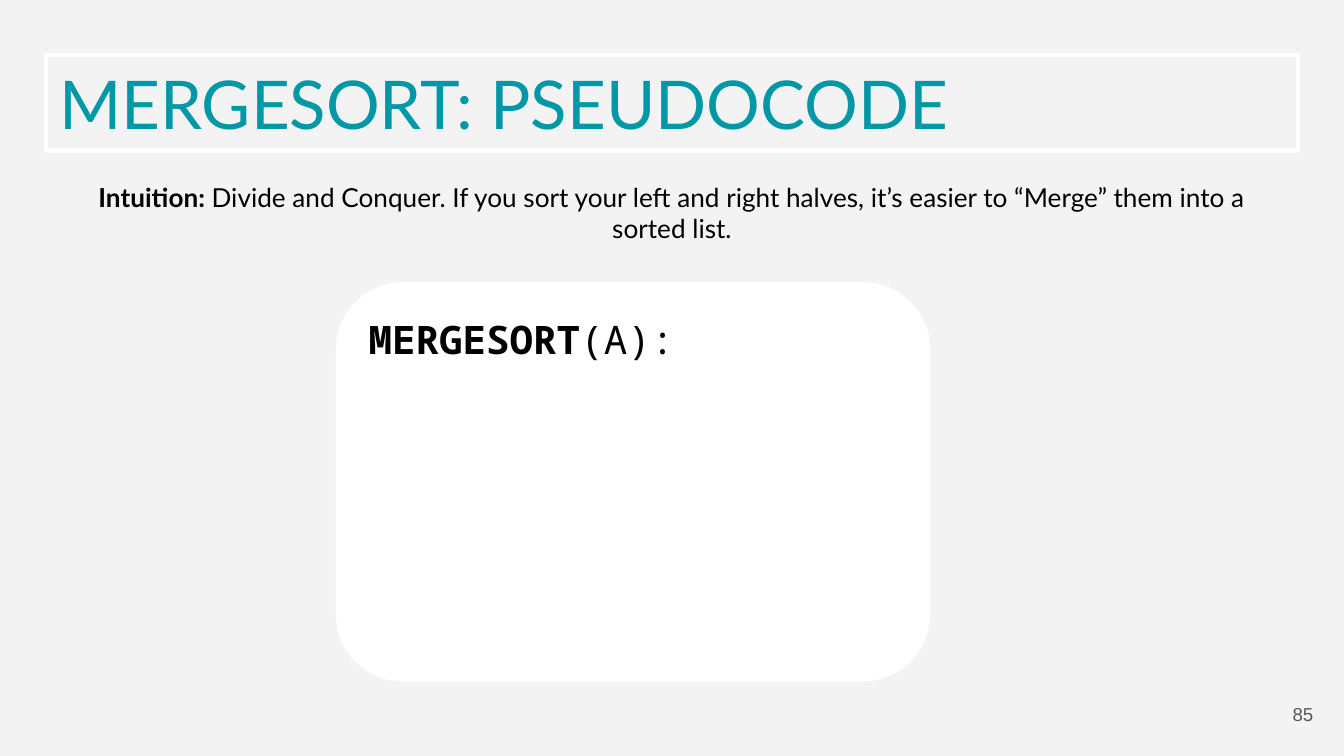
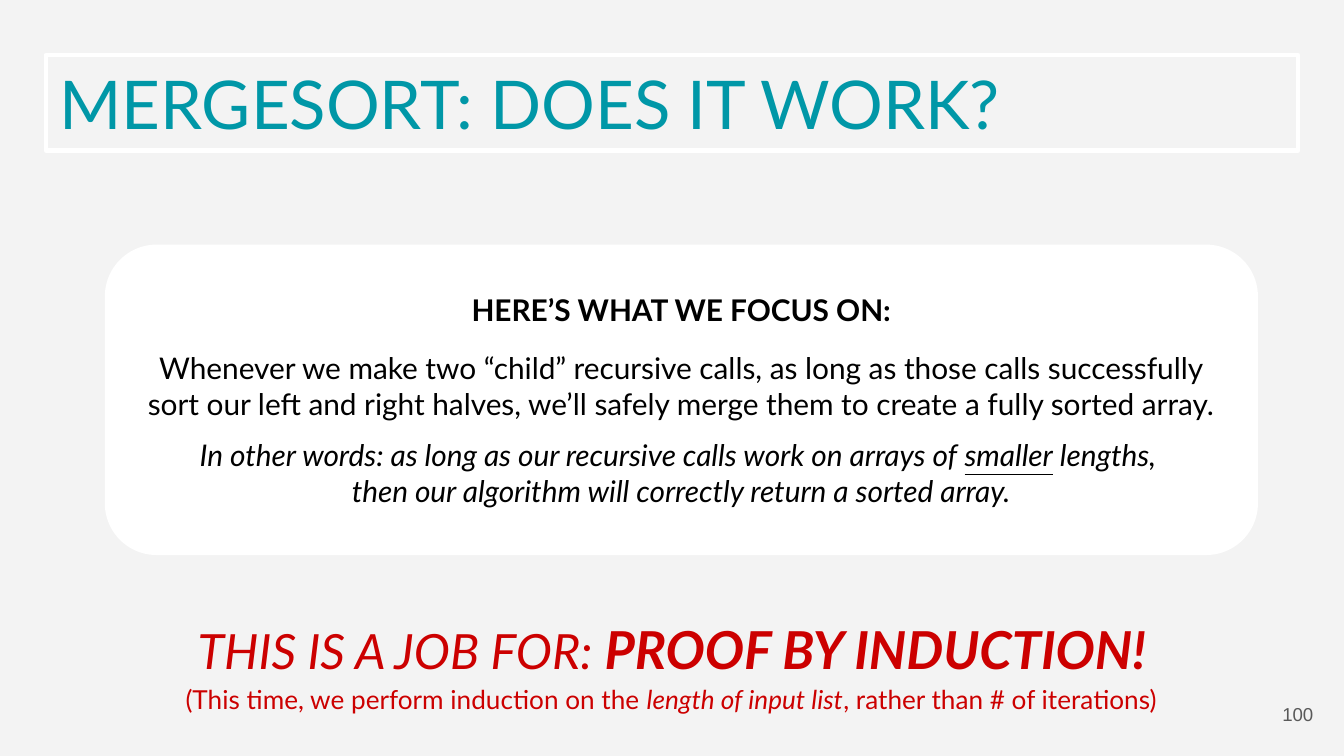
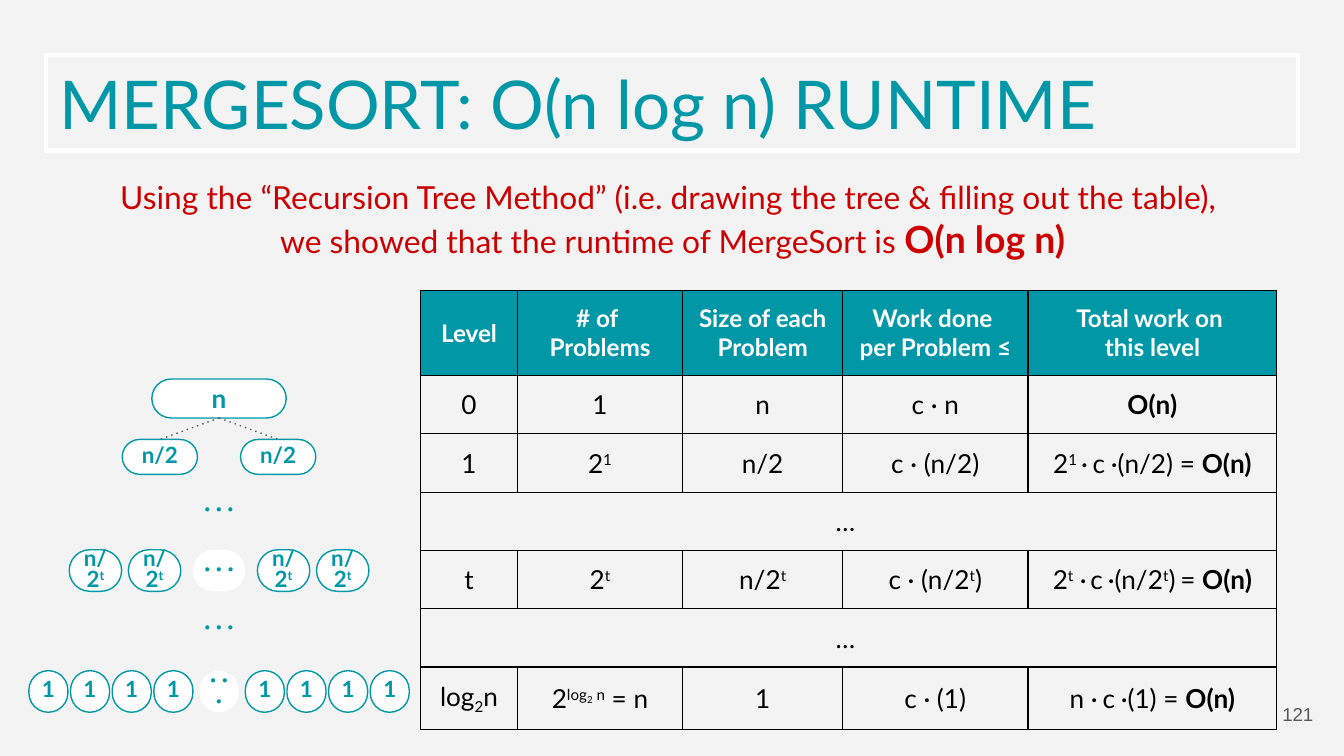
from copy import deepcopy
from dataclasses import dataclass, field
from typing import Any, NamedTuple

from lxml import etree
from pptx import Presentation
from pptx.dml.color import RGBColor
from pptx.enum import shapes as es, text as et
from pptx.oxml.ns import qn
from pptx.util import Inches, Pt

TEAL, RED, INK, WHITE = "0097A7", "CC0000", "000000", "FFFFFF"
GREY, PAPER = "595959", "F3F3F3"
SANS, MONO, PLAIN = "Lato", "Noto Sans Mono", "Arial"
LEFT, MID, RIGHT = et.PP_ALIGN.LEFT, et.PP_ALIGN.CENTER, et.PP_ALIGN.RIGHT
TOP, CENTER = et.MSO_ANCHOR.TOP, et.MSO_ANCHOR.MIDDLE
INSET = (0.1, 0.1, 0.1, 0.1)
TIGHT = (0, 0.1, 0, 0.1)
DOTS = "· · ·"
AXIS = 1.63


class Bit(NamedTuple):
    text: str
    form: dict[str, Any]


def bit(text: str, **form: Any) -> Bit:
    return Bit(text, form)


def up(text: str, **form: Any) -> Bit:
    return bit(text, base=30, **form)


def gap(size: int, **form: Any) -> Bit:
    return bit(" ", size=size, **form)


@dataclass
class Para:
    bits: list[Bit | str]
    before: float = 0


@dataclass
class Box:
    left: float
    top: float
    wide: float
    high: float
    paras: list[Para]
    form: dict[str, Any] = field(default_factory=dict)
    align: et.PP_ALIGN = MID
    anchor: et.MSO_ANCHOR = CENTER
    inset: tuple[float, ...] = INSET
    space: float | None = None
    curve: float = 0
    fill: str | None = None
    line: str | None = None


@dataclass
class Tier:
    top: float
    wide: float
    high: float
    bits: list[Bit | str]
    near: float
    step: float
    count: int
    inset: tuple[float, ...] = TIGHT
    dots: bool = True


def tint(code: str) -> RGBColor:
    return RGBColor.from_string(code)


def say(para, text: str, *, size: float = 14, color: str = INK, font: str = SANS,
        bold: bool = False, ital: bool = False, under: bool = False,
        base: int = 0) -> None:
    for spot, part in enumerate(text.split("\n")):
        if spot:
            para.add_line_break()
            para._p[-1].append(deepcopy(run.font._element))
        run = para.add_run()
        run.text = part
        face = run.font
        face.name, face.size, face.bold = font, Pt(size), bold
        face.italic, face.underline = ital, under
        face.color.rgb = tint(color)
        if base:
            face._element.set("baseline", str(base * 1000))


def write(frame, paras: list[Para], align: et.PP_ALIGN = MID,
          space: float | None = None, **form: Any) -> None:
    for spot, item in enumerate(paras):
        para = frame.add_paragraph() if spot else frame.paragraphs[0]
        para.alignment = align
        if space:
            para.line_spacing = space
        if item.before:
            para.space_before = Pt(item.before)
        for part in item.bits:
            part = bit(part) if isinstance(part, str) else part
            say(para, part.text, **{**form, **part.form})


def pad(thing, inset: tuple[float, ...]) -> None:
    (thing.margin_left, thing.margin_top,
     thing.margin_right, thing.margin_bottom) = map(Inches, inset)


def draw(slide, box: Box):
    area = [Inches(side) for side in (box.left, box.top, box.wide, box.high)]
    if box.curve:
        shape = slide.shapes.add_shape(es.MSO_SHAPE.ROUNDED_RECTANGLE, *area)
        shape.adjustments[0] = box.curve
        shape.shadow.inherit = False
    else:
        shape = slide.shapes.add_textbox(*area)
    if box.fill:
        shape.fill.solid()
        shape.fill.fore_color.rgb = tint(box.fill)
    else:
        shape.fill.background()
    if box.line:
        shape.line.color.rgb = tint(box.line)
        shape.line.width = Pt(0.75)
    else:
        shape.line.fill.background()
    frame = shape.text_frame
    frame.word_wrap = True
    frame.vertical_anchor = box.anchor
    pad(frame, box.inset)
    write(frame, box.paras, box.align, box.space, **box.form)
    return shape


def start(deck, title: str, page: int):
    slide = deck.slides.add_slide(deck.slide_layouts[5])
    head = slide.shapes.title
    head.left, head.top = Inches(0.34), Inches(0.41)
    head.width, head.height = Inches(9.32), Inches(0.71)
    head.line.color.rgb = tint(WHITE)
    head.line.width = Pt(2.25)
    frame = head.text_frame
    frame.auto_size = et.MSO_AUTO_SIZE.NONE
    frame.vertical_anchor = CENTER
    pad(frame, INSET)
    write(frame, [Para([title])], LEFT, size=36, color=TEAL)
    draw(slide, Box(9.27, 5.1, 0.6, 0.43, [Para([str(page)])],
                    dict(size=10, color=GREY, font=PLAIN), align=RIGHT))
    return slide


def node(slide, mid: float, top: float, wide: float, high: float,
         bits: list[Bit | str], size: int = 12, space: float | None = 0.8,
         inset: tuple[float, ...] = TIGHT, fill: str | None = WHITE,
         line: str | None = TEAL):
    return draw(slide, Box(mid - wide / 2, top, wide, high, [Para(bits)],
                           dict(size=size, color=TEAL, bold=True), inset=inset,
                           space=space, curve=0.5, fill=fill, line=line))


def link(slide, upper, lower) -> None:
    wire = slide.shapes.add_connector(es.MSO_CONNECTOR.STRAIGHT, 0, 0, 0, 0)
    wire.begin_connect(upper, 2)
    wire.end_connect(lower, 0)
    wire.line.color.rgb = tint(GREY)
    wire.line.width = Pt(0.75)
    etree.SubElement(wire.line._get_or_add_ln(), qn("a:prstDash"), val="dot")
    etree.SubElement(wire._element.spPr, qn("a:effectLst"))


def tree(slide) -> None:
    root = node(slide, AXIS, 2.82, 1, 0.29, ["n"], 14, None, INSET)
    tiers = [
        Tier(3.27, 0.56, 0.26, ["n/2"], 0.44, 0, 1, INSET, False),
        Tier(4.09, 0.39, 0.31, ["n/2", up("t")], 0.48, 0.44, 2),
        Tier(4.99, 0.29, 0.31, ["1"], 0.34, 0.31, 4),
    ]
    for tier in tiers:
        for sign in (-1, 1):
            for spot in range(tier.count):
                mid = AXIS + sign * (tier.near + spot * tier.step)
                leaf = node(slide, mid, tier.top, tier.wide, tier.high,
                            tier.bits, inset=tier.inset)
                if not tier.dots:
                    link(slide, root, leaf)
        if tier.dots:
            node(slide, AXIS, tier.top, tier.wide, tier.high, [DOTS], line=None)
    for top in (3.64, 4.52):
        node(slide, AXIS, top, 0.36, 0.31, [DOTS], fill=None, line=None)


def edge(cell) -> None:
    props = cell._tc.get_or_add_tcPr()
    for spot, side in enumerate(("lnL", "lnR", "lnT", "lnB")):
        line = etree.Element(qn(f"a:{side}"), w=str(Pt(0.75)))
        paint = etree.SubElement(line, qn("a:solidFill"))
        etree.SubElement(paint, qn("a:srgbClr"), val=INK)
        props.insert(spot, line)


def grid(slide, rows: list[list[list[Bit | str]]]) -> None:
    cols = [0.72, 1.23, 1.19, 1.38, 1.85]
    highs = [0.63] + [0.43] * 5 + [0.46]
    table = slide.shapes.add_table(
        len(rows), len(cols), Inches(3.13), Inches(2.16),
        Inches(sum(cols)), Inches(sum(highs))).table
    table.first_row = table.horz_banding = False
    for col, wide in zip(table.columns, cols):
        col.width = Inches(wide)
    for row, high in zip(table.rows, highs):
        row.height = Inches(high)
    for down, row in enumerate(rows):
        if len(row) == 1:
            table.cell(down, 0).merge(table.cell(down, len(cols) - 1))
        for across in range(len(cols)):
            cell = table.cell(down, across)
            cell.vertical_anchor = CENTER
            pad(cell, INSET if down else TIGHT)
            if down:
                cell.fill.background()
            else:
                cell.fill.solid()
                cell.fill.fore_color.rgb = tint(TEAL)
            edge(cell)
        form = {} if down else dict(size=13, color=WHITE, bold=True)
        for across, bits in enumerate(row):
            write(table.cell(down, across).text_frame, [Para(bits)], **form)


def code(deck) -> None:
    slide = start(deck, "MERGESORT: PSEUDOCODE", 85)
    draw(slide, Box(0.34, 1.43, 9.32, 0.53, [Para([
        bit("Intuition: ", bold=True),
        "Divide and Conquer. If you sort your left and right halves, "
        "it’s easier to “Merge” them into a sorted list."])],
        inset=(0.1, 0.1, 0.1, 0.33)))
    draw(slide, Box(2.5, 2.1, 4.42, 2.97,
                    [Para([bit("MERGESORT", bold=True), "(A):"])],
                    dict(size=21, font=MONO), align=LEFT, anchor=TOP,
                    curve=0.167, fill=WHITE))


def proof(deck) -> None:
    slide = start(deck, "MERGESORT: DOES IT WORK?", 100)
    draw(slide, Box(0.78, 1.82, 8.58, 2.31, [
        Para([bit("HERE’S WHAT WE FOCUS ON:", bold=True)]),
        Para(["Whenever we make two “child” recursive calls, as long as those "
              "calls successfully sort our left and right halves, we’ll safely "
              "merge them to create a fully sorted array."], 12),
        Para([bit("In other words: as long as our recursive calls work on "
                  "arrays of ", ital=True),
              bit("smaller", ital=True, under=True),
              bit(" lengths, ", ital=True)], 8.4),
        Para([bit("then our algorithm will correctly return a sorted array.",
                  ital=True)]),
    ], dict(size=16), curve=0.167, fill=WHITE))
    draw(slide, Box(1.05, 4.32, 7.9, 1.01, [Para([
        "THIS IS A JOB FOR: ",
        bit("PROOF BY INDUCTION!", size=28, bold=True)])],
        dict(size=26, color=RED, ital=True)))
    draw(slide, Box(0.98, 4.92, 8.03, 0.56, [Para([
        "(This time, we perform induction on the ",
        bit("length of input list", ital=True),
        ", rather than # of iterations)"])], dict(color=RED)))


def cost(deck) -> None:
    slide = start(deck, "MERGESORT: O(n log n) RUNTIME", 121)
    draw(slide, Box(0.29, 1.18, 9.43, 0.9, [Para([
        "Using the “Recursion Tree Method” (i.e. drawing the tree & filling "
        "out the table), \nwe showed that the runtime of MergeSort is ",
        bit("O(n log n)", size=20, bold=True)])], dict(size=17, color=RED)))
    tree(slide)
    total = bit("O(n)", bold=True)
    more = [["… "]]
    grid(slide, [
        [["Level"], ["# of \nProblems"], ["Size of each Problem"],
         ["Work done \nper Problem ≤"], ["Total work on \nthis level"]],
        [["0"], ["1"], ["n"], ["c · n"], [total]],
        [["1"], ["2", up("1")], ["n/2"], ["c · (n/2)"],
         ["2", up("1 "), "·", gap(10), "c", gap(12), "·(n/2) = ", total]],
        more,
        [["t"], ["2", up("t")], ["n/2", up("t")], ["c · (n/2", up("t"), ")"],
         ["2", up("t "), gap(9, base=30), "·", gap(8), "c", gap(10), "·(n/2",
          up("t"), ")", gap(10), "= ", total]],
        more,
        [["log", bit("2", base=-25), "n"],
         ["2", up("log"), up("2", size=9), up(" n"), " = n"], ["1"], ["c · (1)"],
         ["n ·", gap(10), "c", gap(12), "·(1) = ", total]],
    ])


def main() -> None:
    deck = Presentation()
    deck.slide_width = Inches(10)
    deck.slide_height = deck.slide_width * 9 // 16
    back = deck.slide_master.background.fill
    back.solid()
    back.fore_color.rgb = tint(PAPER)
    for make in (code, proof, cost):
        make(deck)
    deck.save("out.pptx")


if __name__ == "__main__":
    main()
